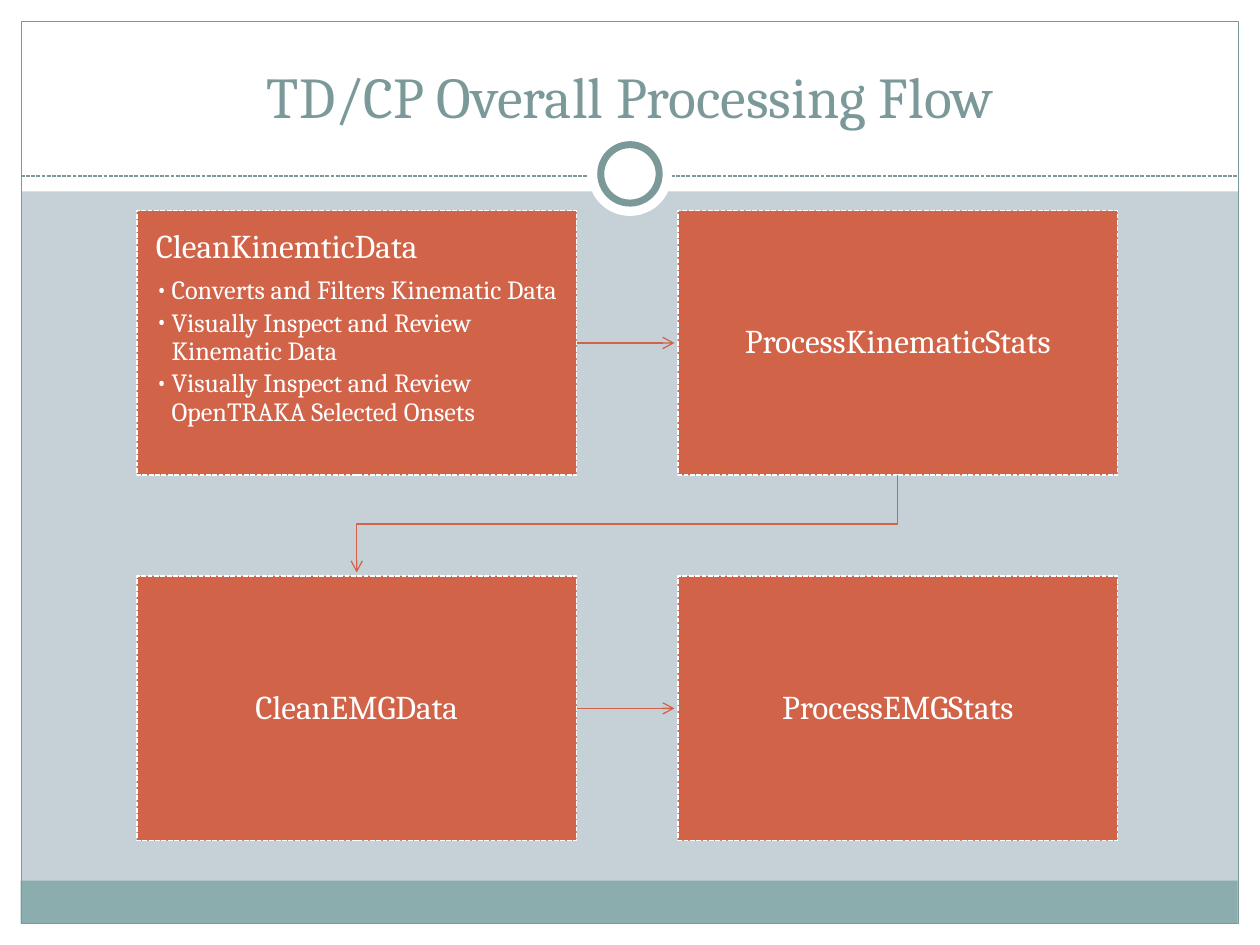
from pptx import Presentation
from pptx.dml.color import RGBColor as RGB
from pptx.enum.dml import MSO_LINE as Dash
from pptx.enum.shapes import MSO_CONNECTOR as Conn, MSO_SHAPE as Kind
from pptx.enum.text import MSO_ANCHOR as Anchor, MSO_AUTO_SIZE as Fit, PP_ALIGN as Align
from pptx.oxml.ns import qn
from pptx.util import Pt
from lxml.etree import SubElement as Sub

FONT = "Cambria"
WHITE, BACK, TEAL, BAND, RUST = "FFFFFF", "C5D1D7", "7C999A", "8CADAE", "D16349"

# Grid of boxes
WIDE, HIGH = 251.3, 151.2
COLS, ROWS = (78.2, 387.4), (120.4, 329.2)
GAP = 2  # space between an arrow tip and its box


def paint(item, tone):
    """Colour a fill, line or font from a hex string."""
    if hasattr(item, "solid"):
        item.solid()
        color = item.fore_color
    else:
        color = item.color
    color.rgb = RGB.from_string(tone)


def stroke(line, tone, width=0.75, dash=None):
    paint(line, tone)
    line.width = Pt(width)
    if dash:
        line.dash_style = dash


def style(para, size, tone, align):
    para.alignment = align
    for run in para.runs:
        run.font.name, run.font.size = FONT, Pt(size)
        paint(run.font, tone)


def shape(slide, kind, x, y, w, h, fill=None):
    item = slide.shapes.add_shape(kind, Pt(x), Pt(y), Pt(w), Pt(h))
    item.shadow.inherit = False
    if fill:
        paint(item.fill, fill)
    else:
        item.fill.background()
    item.line.fill.background()
    return item


def rule(slide, x1, y1, x2, y2, kind=Conn.STRAIGHT):
    item = slide.shapes.add_connector(kind, Pt(x1), Pt(y1), Pt(x2), Pt(y2))
    Sub(item._element.spPr, qn("a:effectLst"))
    return item


def tip(item):
    """Colour a line and put an open arrowhead at its end."""
    stroke(item.line, RUST)
    Sub(item.line._get_or_add_ln(), qn("a:tailEnd"), type="arrow")


def arrow(slide, y):
    tip(rule(slide, COLS[0] + WIDE, y, COLS[1] - GAP, y))


def elbow(slide):
    """Lead from the top right box to the bottom left one."""
    top, low = ROWS[0] + HIGH, ROWS[1] - GAP
    x, y = (sum(COLS) + WIDE) / 2, (top + low) / 2
    # Half extents, swapped by the quarter turn
    dx, dy = (low - top) / 2, (COLS[1] - COLS[0]) / 2
    item = rule(slide, x - dx, y - dy, x + dx, y + dy, Conn.ELBOW)
    item._element.spPr.xfrm.set("rot", str(90 * 60000))
    tip(item)


def bullet(para):
    props = para._p.get_or_add_pPr()
    props.set("marL", str(Pt(9)))
    props.set("indent", str(Pt(-9)))
    Sub(props, qn("a:buFont"), typeface=FONT)
    Sub(props, qn("a:buChar"), char="•")


def box(slide, x, y, head, items=()):
    item = shape(slide, Kind.RECTANGLE, x, y, WIDE, HIGH, RUST)
    stroke(item.line, WHITE, 0.9, Dash.SQUARE_DOT)
    text = item.text_frame
    text.word_wrap = True
    text.margin_left = text.margin_right = Pt(10.8)
    text.margin_top = text.margin_bottom = Pt(10.8)
    text.vertical_anchor = Anchor.TOP if items else Anchor.MIDDLE
    text.text = "\n".join([head, *items])
    for i, para in enumerate(text.paragraphs):
        style(para, 15 if i else 19, WHITE, Align.LEFT if items else Align.CENTER)
        para.line_spacing = 0.9
        para.space_after = Pt(2.25 if i else 6.65)
        if i:
            para.level = 1
            bullet(para)


def frame(slide):
    """Draw the white margins, the border and the ring."""
    paint(slide.background.fill, BACK)
    for spot in [(0, 528, 720, 12), (0, 0, 720, 109.4),
                 (0, 0, 12, 540), (708, 0, 12, 540)]:
        shape(slide, Kind.RECTANGLE, *spot, WHITE)
    shape(slide, Kind.RECTANGLE, 11.8, 503.3, 695.5, 24.5, BAND)
    stroke(shape(slide, Kind.RECTANGLE, 12.2, 12.2, 695.5, 515.5).line, TEAL)
    stroke(rule(slide, 12, 100.6, 708, 100.6).line, TEAL, dash=Dash.SQUARE_DOT)
    for size in (48, 33.4):
        ring = shape(slide, Kind.OVAL, 360 - size / 2, 99.4 - size / 2,
                     size, size, WHITE)
    stroke(ring.line, TEAL, 4)


def title(slide, words):
    item = slide.shapes.title
    item.left, item.top, item.width, item.height = map(Pt, (24, 18, 672, 60))
    text = item.text_frame
    text.text = words
    text.word_wrap = True
    text.auto_size = Fit.NONE
    text.vertical_anchor = Anchor.BOTTOM
    style(text.paragraphs[0], 33, TEAL, Align.CENTER)
    # Bring the title in front of the frame
    slide.shapes._spTree.append(item._element)


def main():
    deck = Presentation()
    deck.slide_width, deck.slide_height = Pt(720), Pt(540)
    slide = deck.slides.add_slide(deck.slide_layouts[5])
    frame(slide)
    title(slide, "TD/CP Overall Processing Flow")

    # Processing steps
    box(slide, COLS[0], ROWS[0], "CleanKinemticData", [
        "Converts and Filters Kinematic Data",
        "Visually Inspect and Review Kinematic Data",
        "Visually Inspect and Review OpenTRAKA Selected Onsets"])
    box(slide, COLS[1], ROWS[0], "ProcessKinematicStats")
    box(slide, COLS[0], ROWS[1], "CleanEMGData")
    box(slide, COLS[1], ROWS[1], "ProcessEMGStats")

    # Flow between the steps
    for y in ROWS:
        arrow(slide, y + HIGH / 2)
    elbow(slide)
    deck.save("out.pptx")


if __name__ == "__main__":
    main()
